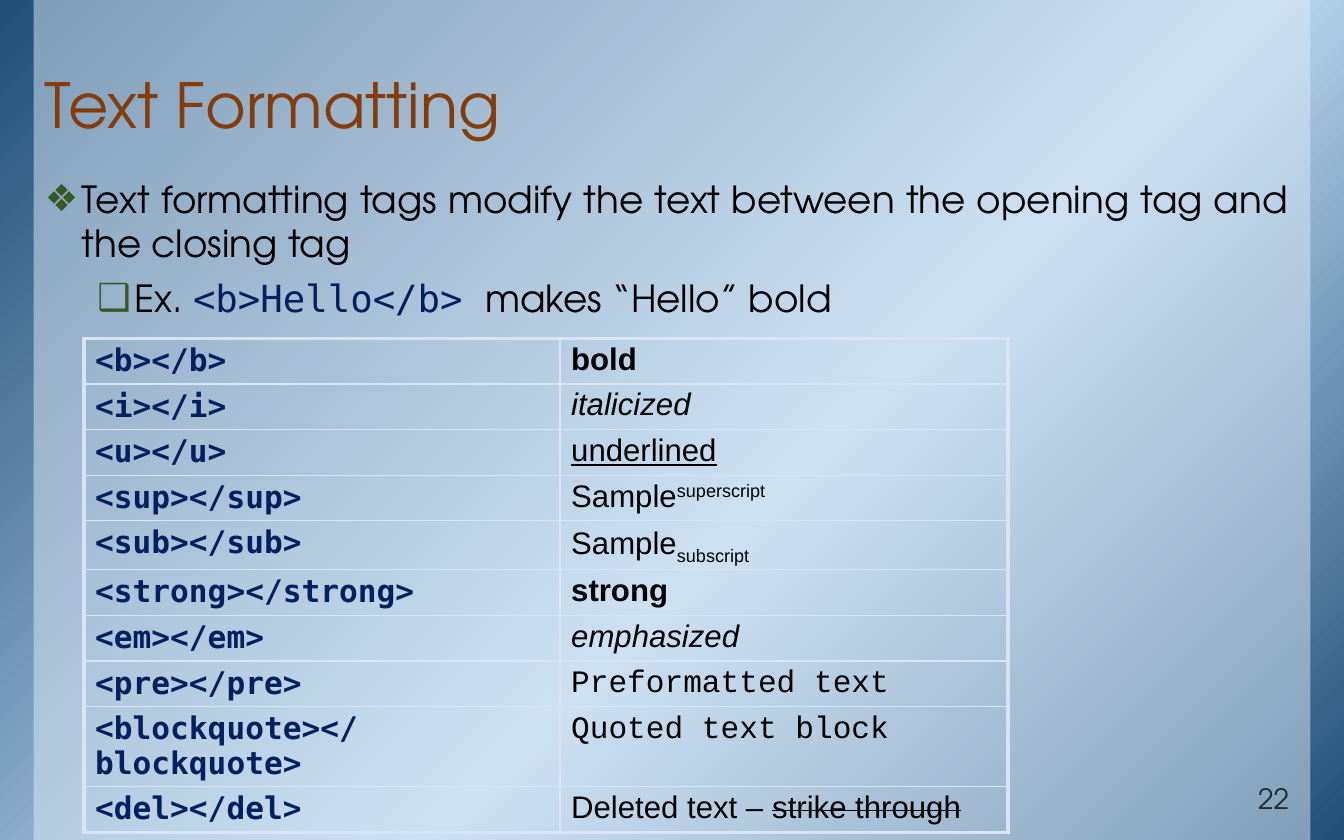
from lxml import etree
from pptx import Presentation
from pptx.dml.color import RGBColor
from pptx.enum.shapes import MSO_SHAPE
from pptx.enum.text import MSO_ANCHOR, MSO_AUTO_SIZE, PP_ALIGN
from pptx.oxml.ns import qn
from pptx.util import Inches, Pt

RECT = MSO_SHAPE.RECTANGLE
BOTTOM, TOP = MSO_ANCHOR.BOTTOM, MSO_ANCHOR.TOP
LEFT, RIGHT, JUSTIFY = PP_ALIGN.LEFT, PP_ALIGN.RIGHT, PP_ALIGN.JUSTIFY

NAVY = RGBColor(0x00, 0x20, 0x60)
BLACK = RGBColor(0, 0, 0)
RUST = RGBColor(0x84, 0x3C, 0x0B)
GREEN = RGBColor(0x38, 0x57, 0x23)
SLATE = RGBColor(0x22, 0x2A, 0x35)
DEEP_BLUE = RGBColor(0x1F, 0x4E, 0x79)
SKY = RGBColor(0xBD, 0xD7, 0xEE)
PALE = RGBColor(0xDE, 0xEB, 0xF7)
BORDER = RGBColor(0xDA, 0xE3, 0xF3)

HEAD, SANS, CODE, MONO = "TeX Gyre Adventor", "Arial", "DejaVu Sans Mono", "Courier New"
WIDTH, HEIGHT = 12, 7.5

# Tag, then the runs of its sample: text, font, format, extra run attributes
TAGS = [
    ("b", [("bold", SANS, {"bold": True}, {})]),
    ("i", [("italicized", SANS, {"italic": True}, {})]),
    ("u", [("underlined", SANS, {"underline": True}, {})]),
    ("sup", [("Sample", SANS, {}, {}), ("superscript", SANS, {}, {"baseline": "30000"})]),
    ("sub", [("Sample", SANS, {}, {}), ("subscript", SANS, {}, {"baseline": "-25000"})]),
    ("strong", [("strong", SANS, {"bold": True}, {})]),
    ("em", [("emphasized", SANS, {"italic": True}, {})]),
    ("pre", [("Preformatted text", MONO, {}, {})]),
    ("blockquote", [("Quoted text block", MONO, {}, {})]),
    ("del", [("Deleted text – ", SANS, {}, {}),
             ("strike through", SANS, {}, {"strike": "sngStrike"})]),
]


def add_color(parent, color):
    return etree.SubElement(parent, qn("a:srgbClr"), val=str(color))


def add_run(p, text, name, size, color, fmt=None, attrs=None):
    r = p.add_run()
    r.text = text
    r.font.color.rgb = color
    for key, value in {"name": name, "size": Pt(size), **(fmt or {})}.items():
        setattr(r.font, key, value)
    for key, value in (attrs or {}).items():
        r.font._element.set(key, value)


def place(sp, left, top, width, height, anchor):
    frame = {"left": left, "top": top, "width": width, "height": height}
    for key, value in frame.items():
        setattr(sp, key, Inches(value))
    tf = sp.text_frame
    fmt = {"word_wrap": True, "auto_size": MSO_AUTO_SIZE.NONE, "vertical_anchor": anchor,
           "margin_left": Inches(0.13), "margin_right": Inches(0.13),
           "margin_top": Inches(0.07), "margin_bottom": Inches(0.07)}
    for key, value in fmt.items():
        setattr(tf, key, value)
    return tf


def add_panel(s, index, left, width):
    """Full-height plain rectangle, stacked behind the placeholders."""
    sp = s.shapes.add_shape(RECT, Inches(left), 0, Inches(width), Inches(HEIGHT))
    sp.shadow.inherit = False
    sp.line.fill.background()
    s.shapes._spTree.insert(2 + index, sp._element)
    return sp


def add_background(s):
    # Diagonal gradient
    sp = add_panel(s, 0, 0, WIDTH)
    sp.fill.gradient()
    grad = sp._element.spPr.find(qn("a:gradFill"))
    for child in list(grad):
        grad.remove(child)
    stops = etree.SubElement(grad, qn("a:gsLst"))
    for percent, color in ((0, DEEP_BLUE), (58, SKY), (100, DEEP_BLUE)):
        add_color(etree.SubElement(stops, qn("a:gs"), pos=str(percent * 1000)), color)
    etree.SubElement(grad, qn("a:lin"), ang=str(45 * 60000), scaled="0")

    # Half-transparent veil
    sp = add_panel(s, 1, 0.3, WIDTH - 0.6)
    sp.fill.solid()
    sp.fill.fore_color.rgb = PALE
    color = sp._element.spPr.find(qn("a:solidFill"))[0]
    etree.SubElement(color, qn("a:alpha"), val="50000")


def format_bullet(p, char, level, indent):
    p.level = level
    pPr = p._p.get_or_add_pPr()
    pPr.set("marL", str(Inches(indent)))
    pPr.set("indent", str(Inches(-0.33)))
    add_color(etree.SubElement(pPr, qn("a:buClr")), GREEN)
    etree.SubElement(pPr, qn("a:buChar"), char=char)
    fmt = {"alignment": JUSTIFY, "space_before": Pt(0), "space_after": Pt(6), "line_spacing": 1.0}
    for key, value in fmt.items():
        setattr(p, key, value)


def add_body(sp):
    tf = place(sp, 0.27, 1.5, 11.36, 5.33, TOP)
    p = tf.paragraphs[0]
    format_bullet(p, "❖", 0, 0.33)
    add_run(p, "Text formatting tags modify the text between the opening tag and the closing tag",
            HEAD, 24, BLACK)
    p = tf.add_paragraph()
    format_bullet(p, "❑", 1, 0.8)
    add_run(p, "Ex. ", HEAD, 24, BLACK)
    add_run(p, "<b>Hello</b> ", CODE, 24, NAVY)
    add_run(p, "makes “Hello” bold", HEAD, 24, BLACK)


def format_cell(cell, outer):
    """Thick lines on the table's outer sides, thin ones inside, no fill."""
    tcPr = cell._tc.get_or_add_tcPr()
    for side in "LRTB":
        width = Pt(2.25 if side in outer else 1)
        ln = etree.SubElement(tcPr, qn("a:ln" + side), w=str(width))
        add_color(etree.SubElement(ln, qn("a:solidFill")), BORDER)
    cell.fill.background()
    p = cell.text_frame.paragraphs[0]
    p.line_spacing = 0.95
    return p


def add_tag_table(s):
    row_height = 0.4
    table = s.shapes.add_table(len(TAGS), 2, Inches(0.75), Inches(3.02), Inches(8.25),
                               Inches(row_height * len(TAGS))).table
    table.first_row = table.horz_banding = False
    table.columns[0].width, table.columns[1].width = Inches(4.25), Inches(4)
    for i, (tag, sample) in enumerate(TAGS):
        edge = "T" if i == 0 else "B" if i == len(TAGS) - 1 else ""
        p = format_cell(table.cell(i, 0), "L" + edge)
        add_run(p, f"<{tag}></{tag}>", CODE, 20, NAVY, {"bold": True})
        p = format_cell(table.cell(i, 1), "R" + edge)
        for text, name, fmt, attrs in sample:
            add_run(p, text, name, 20, BLACK, fmt, attrs)


def main():
    prs = Presentation()
    prs.slide_width, prs.slide_height = Inches(WIDTH), Inches(HEIGHT)
    s = prs.slides.add_slide(prs.slide_layouts[1])
    add_background(s)

    # Title
    p = place(s.shapes.title, 0.27, 0.08, 11.36, 1.25, BOTTOM).paragraphs[0]
    p.alignment, p.line_spacing = LEFT, 0.85
    add_run(p, "Text Formatting", HEAD, 40, RUST)

    add_body(s.placeholders[1])

    # Slide number
    p = place(s.shapes.add_textbox(0, 0, 0, 0), 10.55, 7, 1.09, 0.35, BOTTOM).paragraphs[0]
    p.alignment = RIGHT
    add_run(p, "22", HEAD, 18, SLATE)

    add_tag_table(s)
    prs.save("out.pptx")


if __name__ == "__main__":
    main()
